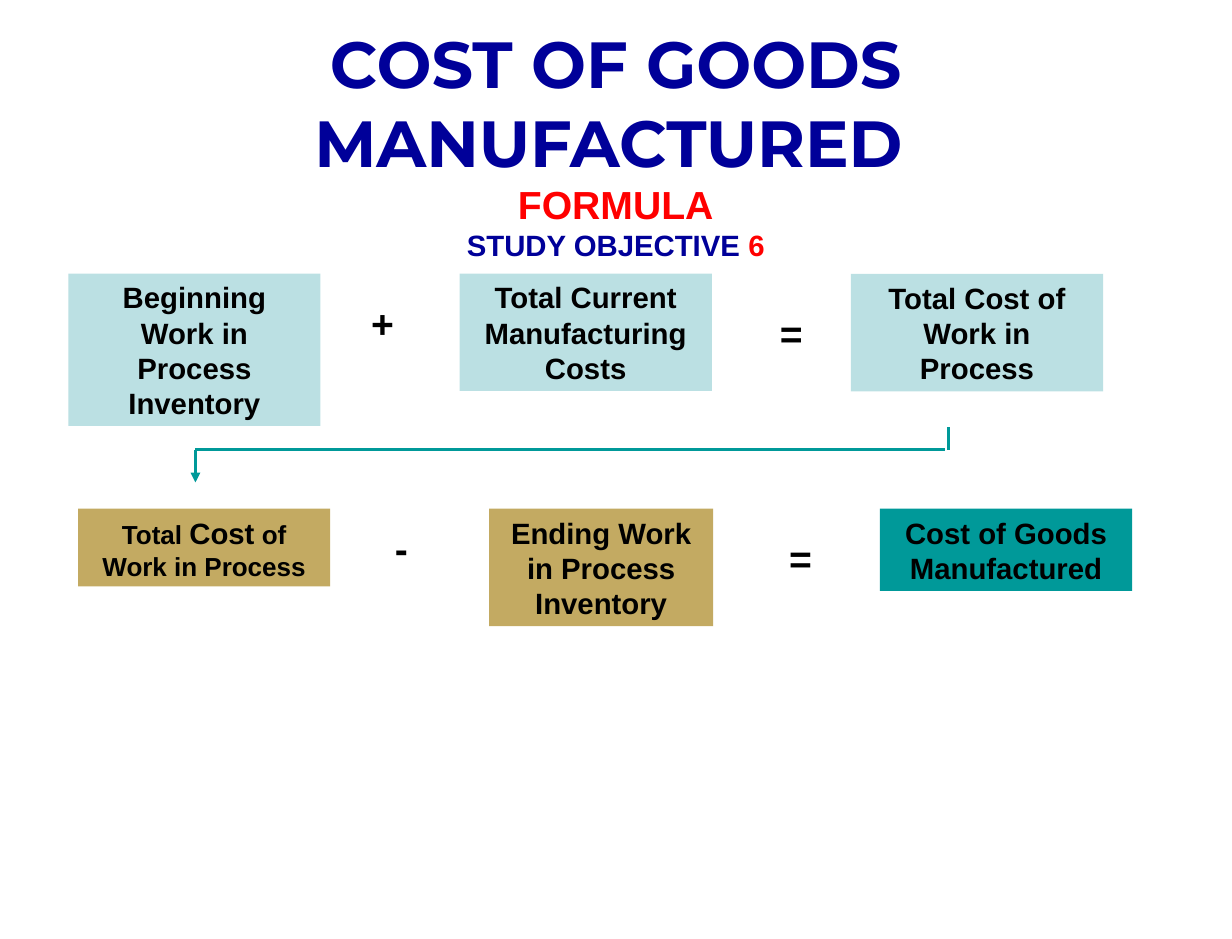
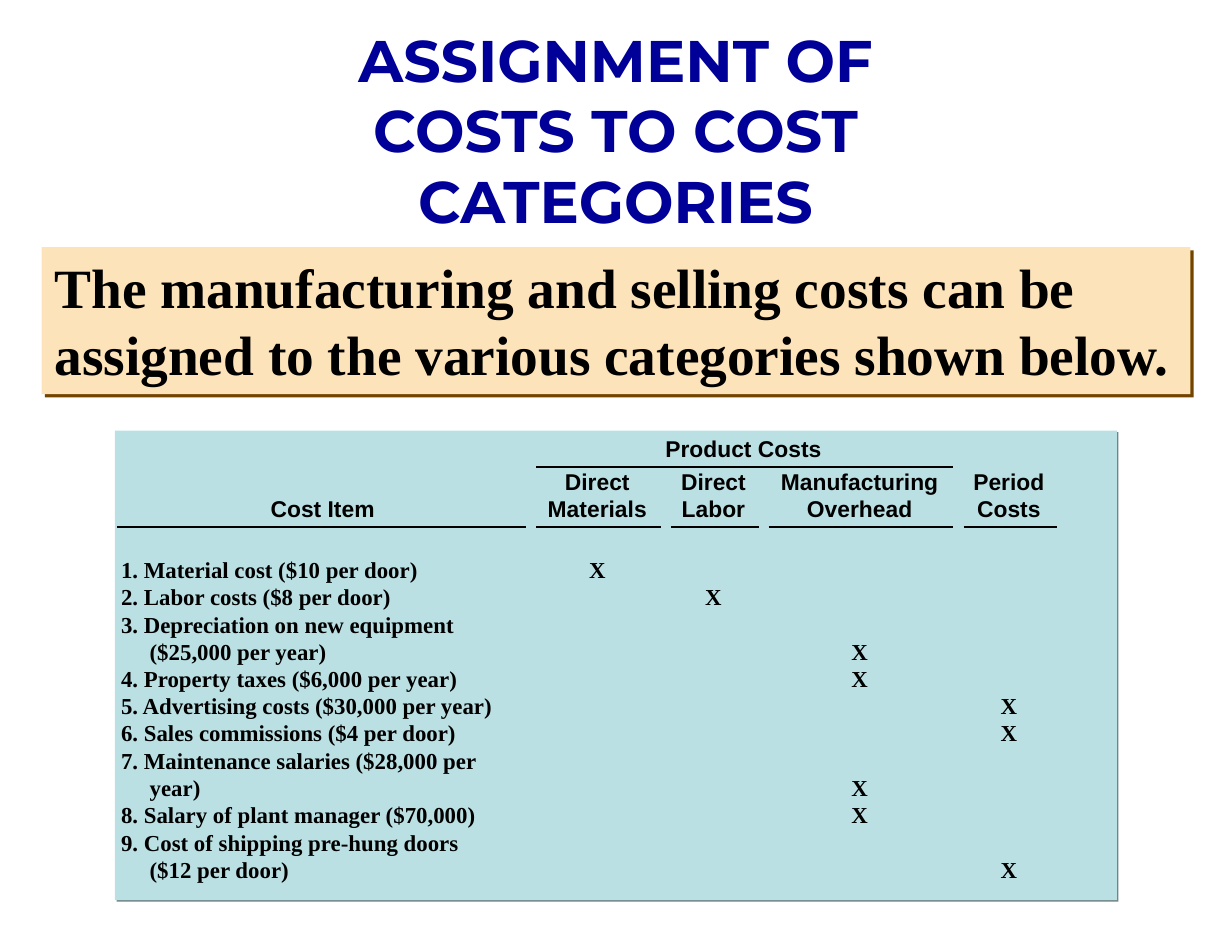
from dataclasses import dataclass

from lxml import etree
from pptx import Presentation
from pptx.dml.color import RGBColor
from pptx.enum.shapes import MSO_CONNECTOR, MSO_SHAPE
from pptx.enum.text import MSO_ANCHOR, MSO_AUTO_SIZE, PP_ALIGN
from pptx.oxml.ns import qn
from pptx.util import Cm, Pt

NAVY = RGBColor(0x00, 0x00, 0x99)
RED = RGBColor(0xFF, 0x00, 0x00)
BLACK = RGBColor(0x00, 0x00, 0x00)
TEAL = RGBColor(0x00, 0x99, 0x99)
PALE_BLUE = RGBColor(0xBB, 0xE0, 0xE3)
PALE_BLUE_SHADE = RGBColor(0x6F, 0x85, 0x87)
OCHRE = RGBColor(0xC3, 0xAA, 0x62)
CREAM = RGBColor(0xFD, 0xE3, 0xBA)
CREAM_SHADE = RGBColor(0x71, 0x44, 0x00)

TITLE_FONT, SANS, SERIF = "Montserrat", "Arial", "Times New Roman"
LEFT, CENTER = PP_ALIGN.LEFT, PP_ALIGN.CENTER
TOP, BOTTOM = MSO_ANCHOR.TOP, MSO_ANCHOR.BOTTOM
NO_AUTOFIT = MSO_AUTO_SIZE.NONE
RECT = MSO_SHAPE.RECTANGLE
STRAIGHT = MSO_CONNECTOR.STRAIGHT
NO_STYLE_NO_GRID = "{2D5ABB26-0587-4C30-8999-92F81FD0307C}"


@dataclass
class Run:
    text: str
    size: float = 18
    color: RGBColor = BLACK
    font: str = SANS


@dataclass
class Card:
    """A filled box of the formula; lengths in cm."""
    left: float
    top: float
    height: float
    fill: RGBColor
    runs: list[Run]
    width: float = 5.46
    first_indent: float = 0


@dataclass
class Operator:
    left: float
    top: float
    symbol: str


@dataclass
class CostItem:
    lines: list[str]
    column: int


OUTDENT = -0.7
CARDS = [
    Card(1.48, 5.92, 3.3, PALE_BLUE, [Run("Beginning\nWork in\nProcess Inventory")],
         first_indent=OUTDENT),
    Card(9.95, 5.92, 2.54, PALE_BLUE, [Run("Total Current Manufacturing Costs")]),
    Card(18.42, 5.93, 2.54, PALE_BLUE, [Run("Total Cost of\nWork in\nProcess")],
         first_indent=OUTDENT),
    Card(1.69, 11.01, 1.68, OCHRE,
         [Run("Total ", 16), Run("Cost"), Run(" of\nWork in Process", 16)],
         first_indent=OUTDENT),
    Card(10.59, 11.01, 2.54, OCHRE, [Run("Ending Work in Process Inventory")], 4.85),
    Card(19.05, 11.01, 1.78, TEAL, [Run("Cost of Goods Manufactured")]),
]
OPERATORS = [
    Operator(7.67, 6.35, "+"),
    Operator(16.52, 6.56, "="),
    Operator(8.08, 11.22, "-"),
    Operator(16.72, 11.43, "="),
]

TABLE_LEFT, TABLE_TOP = 2.5, 9.4
COLUMN_WIDTHS = [8.97, 2.92, 2.11, 4.22, 2.24]
GROUP_ROW, HEADER_ROW, LINE_HEIGHT, HEADER_GAP = 0.71, 1.3, 0.59, 0.62
HEADERS = ["Cost Item", "Direct\nMaterials", "Direct\nLabor",
           "Manufacturing\nOverhead", "Period\nCosts"]
COST_ITEMS = [
    CostItem(["1. Material cost ($10 per door)"], 1),
    CostItem(["2. Labor costs ($8 per door)"], 2),
    CostItem(["3. Depreciation on new equipment", "($25,000 per year)"], 3),
    CostItem(["4. Property taxes ($6,000 per year)"], 3),
    CostItem(["5. Advertising costs ($30,000 per year)"], 4),
    CostItem(["6. Sales commissions ($4 per door)"], 4),
    CostItem(["7. Maintenance salaries ($28,000 per", "year)"], 3),
    CostItem(["8. Salary of plant manager ($70,000)"], 3),
    CostItem(["9. Cost of shipping pre-hung doors", "($12 per door)"], 4),
]


def add_runs(p, runs: list[Run]) -> None:
    """Add bold runs; a newline in a run becomes a line break."""
    for run in runs:
        for i, line in enumerate(run.text.split("\n")):
            if i:
                p.add_line_break()
            r = p.add_run()
            r.text = line
            r.font.size = Pt(run.size)
            r.font.name = run.font
            r.font.bold = True
            r.font.color.rgb = run.color


def set_indent(p, left: float, first: float):
    """Set the left margin and first-line indent, in cm."""
    pPr = p._p.get_or_add_pPr()
    pPr.set("marL", str(Cm(left)))
    pPr.set("indent", str(Cm(first)))
    return pPr


def write(sp, paragraphs: list[list[Run]], align=CENTER, inset: float = 0.25) -> None:
    tf = sp.text_frame
    tf.word_wrap = True
    tf.auto_size = NO_AUTOFIT
    tf.vertical_anchor = TOP
    tf.margin_left = tf.margin_right = Cm(inset)
    tf.margin_top = tf.margin_bottom = Cm(0.13)
    for i, runs in enumerate(paragraphs):
        p = tf.add_paragraph() if i else tf.paragraphs[0]
        p.alignment = align
        p.space_before = Pt(0)
        add_runs(p, runs)


def place(sp, left: float, top: float, width: float, height: float) -> None:
    sp.left, sp.top, sp.width, sp.height = Cm(left), Cm(top), Cm(width), Cm(height)


def paint(sp, fill: RGBColor) -> None:
    sp.fill.solid()
    sp.fill.fore_color.rgb = fill
    sp.line.fill.background()
    sp.shadow.inherit = False


def add_hard_shadow(sp, color: RGBColor, distance: float) -> None:
    effects = sp.element.spPr.find(qn("a:effectLst"))
    shadow = etree.SubElement(effects, qn("a:outerShdw"), blurRad="0",
                              dist=str(Pt(distance)), dir="2700000",
                              algn="ctr", rotWithShape="0")
    etree.SubElement(shadow, qn("a:srgbClr"), val=str(color))


def add_box(s, left: float, top: float, width: float, height: float, fill: RGBColor):
    sp = s.shapes.add_shape(RECT, Cm(left), Cm(top), Cm(width), Cm(height))
    paint(sp, fill)
    return sp


def add_line(s, x1: float, y1: float, x2: float, y2: float, color: RGBColor,
             width: float, arrow: bool = False) -> None:
    line = s.shapes.add_connector(STRAIGHT, Cm(x1), Cm(y1), Cm(x2), Cm(y2))
    line.line.color.rgb = color
    line.line.width = Pt(width)
    if arrow:
        etree.SubElement(line.line._get_or_add_ln(), qn("a:tailEnd"), type="triangle")
    etree.SubElement(line.element.spPr, qn("a:effectLst"))


def fill_cell(cell, text: str = "", font: str = SERIF, align=CENTER,
              hanging: float = 0, bottom: float = 0) -> None:
    cell.fill.solid()
    cell.fill.fore_color.rgb = PALE_BLUE
    cell.vertical_anchor = BOTTOM
    cell.margin_left = cell.margin_right = Cm(0.12)
    cell.margin_top, cell.margin_bottom = Cm(0), Cm(bottom)
    p = cell.text_frame.paragraphs[0]
    p.alignment = align
    p.line_spacing = Pt(16.5)
    if hanging:
        set_indent(p, hanging, -hanging)
    if text:
        add_runs(p, [Run(text, 14, font=font)])
    else:
        etree.SubElement(p._p, qn("a:endParaRPr"), sz="1200")


def add_cost_table(s) -> None:
    heights = [GROUP_ROW, HEADER_ROW]
    heights += [LINE_HEIGHT * len(item.lines) for item in COST_ITEMS]
    heights[2] += HEADER_GAP
    frame = s.shapes.add_table(len(heights), len(COLUMN_WIDTHS), Cm(TABLE_LEFT),
                               Cm(TABLE_TOP), Cm(sum(COLUMN_WIDTHS)), Cm(sum(heights)))
    table = frame.table
    table.first_row = table.horz_banding = False
    frame.element.find(".//" + qn("a:tableStyleId")).text = NO_STYLE_NO_GRID
    for row, height in zip(table.rows, heights):
        row.height = Cm(height)
    for column, width in zip(table.columns, COLUMN_WIDTHS):
        column.width = Cm(width)

    table.cell(0, 1).merge(table.cell(0, 3))
    for c, header in enumerate(HEADERS):
        fill_cell(table.cell(0, c), "Product Costs" if c == 1 else "", SANS, bottom=0.11)
        fill_cell(table.cell(1, c), header, SANS, bottom=0.11)
    for r, item in enumerate(COST_ITEMS, start=2):
        fill_cell(table.cell(r, 0), "\n".join(item.lines), align=LEFT, hanging=0.62)
        for c in range(1, len(HEADERS)):
            fill_cell(table.cell(r, c), "X" if c == item.column else "")


def add_header_rules(s) -> None:
    edges = [TABLE_LEFT + sum(COLUMN_WIDTHS[:i]) for i in range(len(COLUMN_WIDTHS) + 1)]
    group_y = TABLE_TOP + GROUP_ROW
    header_y = group_y + HEADER_ROW
    starts = [edges[0] + 0.04] + [edge + 0.14 for edge in edges[1:-1]]
    ends = [edge - 0.08 for edge in edges[1:]]
    rules = [(starts[1], ends[3], group_y)]
    rules += [(start, end, header_y) for start, end in zip(starts, ends)]
    for start, end, y in rules:
        add_line(s, start, y, end, y, BLACK, 1.5)


def build_formula_slide(prs) -> None:
    s = prs.slides.add_slide(prs.slide_layouts[5])
    title = s.shapes.title
    place(title, 3.07, 0.38, 20.52, 5.5)
    write(title, [
        [Run("COST OF GOODS MANUFACTURED", 40, NAVY, TITLE_FONT), Run(" ", 32)],
        [Run("FORMULA", 24, RED)],
        [Run("STUDY OBJECTIVE ", 18, NAVY), Run("6", 18, RED)],
    ])
    add_line(s, 20.53, 9.25, 20.53, 9.73, TEAL, 2)
    add_line(s, 20.45, 9.73, 4.23, 9.73, TEAL, 2)
    add_line(s, 4.23, 9.73, 4.23, 10.44, TEAL, 2, arrow=True)
    for card in CARDS:
        sp = add_box(s, card.left, card.top, card.width, card.height, card.fill)
        write(sp, [card.runs])
        if card.first_indent:
            set_indent(sp.text_frame.paragraphs[0], 0, card.first_indent)
    for op in OPERATORS:
        sp = s.shapes.add_textbox(Cm(op.left), Cm(op.top), Cm(1.22), Cm(1.27))
        write(sp, [[Run(op.symbol, 24)]])


def build_assignment_slide(prs) -> None:
    s = prs.slides.add_slide(prs.slide_layouts[1])
    title = s.shapes.title
    place(title, 5.21, 0.38, 16.23, 4.9)
    write(title, [[Run("ASSIGNMENT OF COSTS TO COST CATEGORIES", 36, NAVY, TITLE_FONT)]])

    body = s.placeholders[1]
    place(body, 0.9, 5.35, 24.87, 3.18)
    paint(body, CREAM)
    add_hard_shadow(body, CREAM_SHADE, 2.8)
    pPr = set_indent(body.text_frame.paragraphs[0], 0, 0)
    etree.SubElement(pPr, qn("a:buNone"))
    write(body, [[Run("The manufacturing and selling costs can be assigned "
                      "to the various categories shown below.", 34, font=SERIF)]],
          LEFT, 0.28)

    panel = add_box(s, 2.49, 9.32, 21.69, 10.16, PALE_BLUE)
    add_hard_shadow(panel, PALE_BLUE_SHADE, 1.4)
    add_cost_table(s)
    add_header_rules(s)


def main() -> None:
    prs = Presentation()
    prs.slide_width, prs.slide_height = Cm(26.67), Cm(20.32)
    build_formula_slide(prs)
    build_assignment_slide(prs)
    prs.save("out.pptx")


if __name__ == "__main__":
    main()
